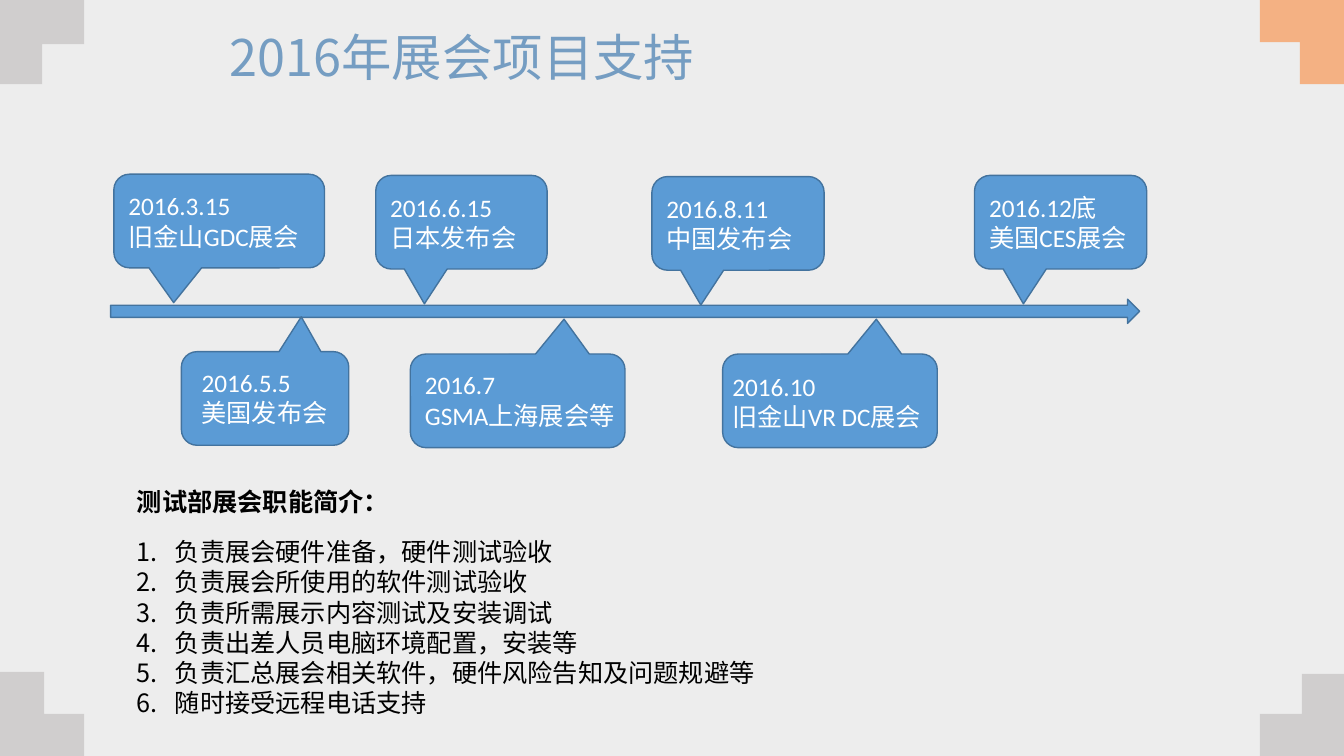
"""Build the 2016 exhibition support timeline slide."""
from lxml.etree import SubElement
from pptx import Presentation
from pptx.dml.color import RGBColor
from pptx.enum.shapes import MSO_SHAPE
from pptx.enum.text import MSO_ANCHOR, MSO_AUTO_SIZE, PP_ALIGN
from pptx.oxml.ns import qn
from pptx.util import Cm, Pt

COLORS = {
    "background": "EDEDED",
    "gray": "D0CECE",
    "orange": "F4B183",
    "title": "759DC2",
    "blue": "5B9BD5",
    "outline": "43739E",
    "white": "FFFFFF",
    "black": "000000",
}
TITLE_FONT = {"name": "Noto Sans CJK SC", "size": Pt(36)}
BODY_FONT = {"name": "Calibri", "size": Pt(18), "bold": False}
HEADING_FONT = BODY_FONT | {"bold": True}


def paint(shape, fill, line=None):
    shape.shadow.inherit = False
    shape.fill.solid()
    shape.fill.fore_color.rgb = RGBColor.from_string(COLORS[fill])
    if line:
        shape.line.color.rgb = RGBColor.from_string(COLORS[line])
        shape.line.width = Pt(1)
    else:
        shape.line.fill.background()


def write(shape, lines, font, color):
    frame = shape.text_frame
    frame.word_wrap = True
    frame.text = "\n".join(lines)
    for paragraph in frame.paragraphs:
        paragraph.alignment = PP_ALIGN.LEFT
        for run in paragraph.runs:
            for attribute, value in font.items():
                setattr(run.font, attribute, value)
            run.font.color.rgb = RGBColor.from_string(COLORS[color])
    return frame


deck = Presentation()
deck.slide_width, deck.slide_height = Cm(33.87), Cm(19.05)
slide = deck.slides.add_slide(deck.slide_layouts[6])
slide.background.fill.solid()
slide.background.fill.fore_color.rgb = RGBColor.from_string(COLORS["background"])
shapes = slide.shapes

ARM = 2.12
corners = [
    (0, 19.05, 1, -1, 1.11, 1.06, "gray"),
    (0, 0, 1, 1, 1.06, 1.11, "gray"),
    (33.87, 0, -1, 1, 1.11, 1.06, "orange"),
    (33.87, 19.1, -1, -1, 1.06, 1.11, "gray"),
]
for x, y, right, down, notch_x, notch_y, color in corners:
    steps = [(0, 0), (0, ARM), (notch_x, ARM), (notch_x, notch_y), (ARM, notch_y), (ARM, 0)]
    points = [(Cm(x + right * dx), Cm(y + down * dy)) for dx, dy in steps]
    outline = shapes.build_freeform(*points[0])
    outline.add_line_segments(points[1:])
    paint(outline.convert_to_shape(), color)

title = shapes.add_textbox(Cm(5.54), Cm(0.71), Cm(22.81), Cm(1.7))
title_frame = write(title, ["2016年展会项目支持"], TITLE_FONT, "title")
title_frame.paragraphs[0].line_spacing = 0.9

timeline = shapes.add_shape(MSO_SHAPE.RIGHT_ARROW, Cm(2.79), Cm(7.54), Cm(25.93), Cm(0.61))
paint(timeline, "blue", "outline")

events = [
    (2.87, 4.39, 5.31, None, ["2016.3.15", "旧金山GDC展会"]),
    (9.47, 4.42, 4.32, None, ["2016.6.15", "日本发布会"]),
    (4.57, 8.86, 4.22, (4.83, 9.12, 3.89), ["2016.5.5", "美国发布会"]),
    (10.34, 8.92, 5.41, (10.46, 9.19, 5.92), ["2016.7", "GSMA上海展会等"]),
    (16.43, 4.45, 4.34, None, ["2016.8.11", "中国发布会"]),
    (18.21, 8.92, 5.41, (18.21, 9.22, 5.92), ["2016.10", "旧金山VR DC展会"]),
    (24.56, 4.42, 4.34, None, ["2016.12底", "美国CES展会"]),
]
for left, top, width, label_place, lines in events:
    callout = shapes.add_shape(
        MSO_SHAPE.ROUNDED_RECTANGULAR_CALLOUT, Cm(left), Cm(top), Cm(width), Cm(2.36)
    )
    paint(callout, "blue", "outline")
    callout.adjustments[0] = -0.216
    callout.adjustments[1] = 0.872
    if label_place:
        callout.rotation = 180
        label_left, label_top, label_width = label_place
        label = shapes.add_textbox(Cm(label_left), Cm(label_top), Cm(label_width), Cm(1.8))
        write(label, lines, BODY_FONT, "white").auto_size = MSO_AUTO_SIZE.SHAPE_TO_FIT_TEXT
    else:
        write(callout, lines, BODY_FONT, "white").vertical_anchor = MSO_ANCHOR.MIDDLE

duties = [
    "负责展会硬件准备，硬件测试验收",
    "负责展会所使用的软件测试验收",
    "负责所需展示内容测试及安装调试",
    "负责出差人员电脑环境配置，安装等",
    "负责汇总展会相关软件，硬件风险告知及问题规避等",
    "随时接受远程电话支持",
]
summary = shapes.add_textbox(Cm(3.2), Cm(12.14), Cm(27.05), Cm(6.15))
summary_frame = write(summary, ["测试部展会职能简介："] + duties, BODY_FONT, "black")
summary_frame.auto_size = MSO_AUTO_SIZE.SHAPE_TO_FIT_TEXT
heading, *duty_paragraphs = summary_frame.paragraphs
for attribute, value in HEADING_FONT.items():
    setattr(heading.runs[0].font, attribute, value)
duty_paragraphs[0].space_before = Pt(14)
for duty in duty_paragraphs:
    properties = duty._p.get_or_add_pPr()
    properties.set("marL", str(Cm(0.96)))
    properties.set("indent", str(-Cm(0.96)))
    SubElement(properties, qn("a:buFont"), typeface="+mj-lt")
    SubElement(properties, qn("a:buAutoNum"), type="arabicPeriod")

deck.save("out.pptx")
